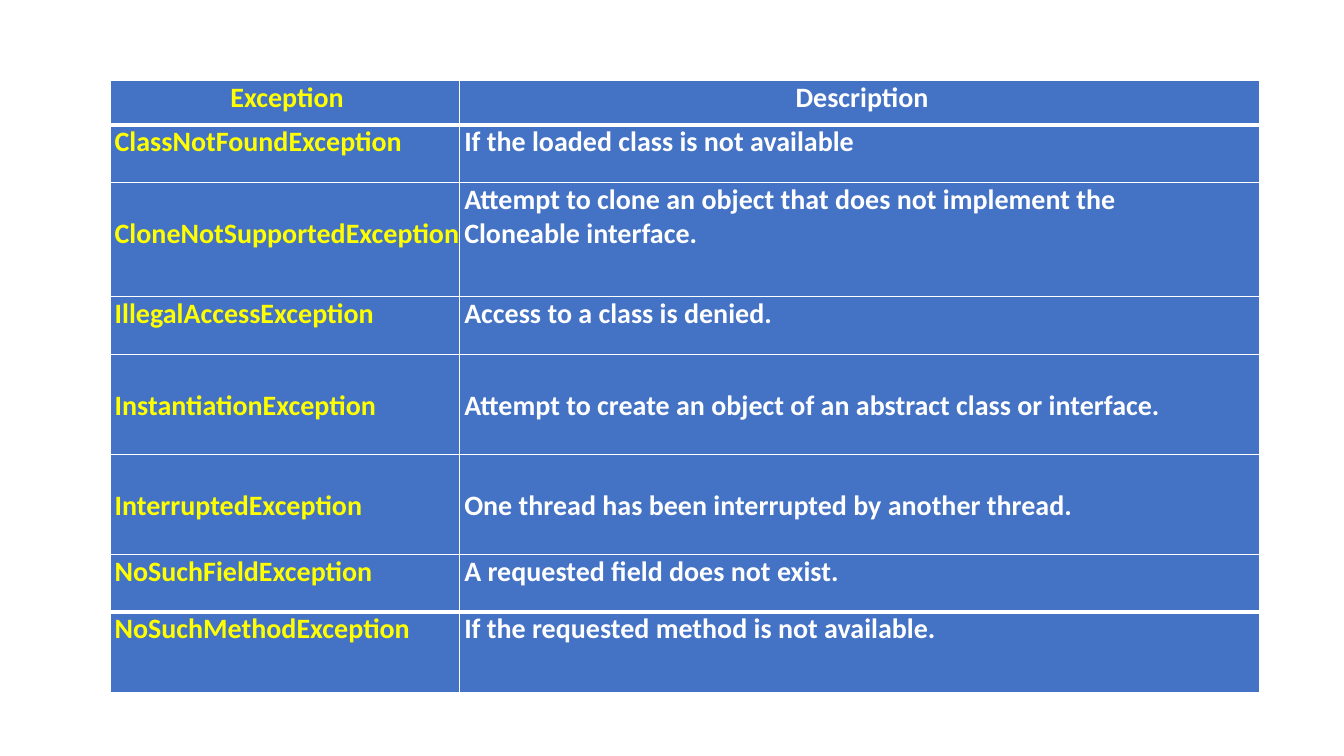
import pptx
import pptx.util
import pptx.dml.color
import pptx.enum.text
import pptx.oxml
import pptx.oxml.ns

Cm = pptx.util.Cm
Pt = pptx.util.Pt
Align = pptx.enum.text.PP_ALIGN

WHITE = "FFFFFF"
YELLOW = "FFFF00"
BLUE = "4472C4"
LINE_HEIGHT = 0.86
COLUMN_WIDTHS = [8.81, 20.17]
TEXT_COLOURS = [YELLOW, WHITE]

# height, (text, lines down) for each column
ROWS = [
    (1.12, ("Exception", 0), ("Description", 0)),
    (1.45, ("ClassNotFoundException", 0), ("If the loaded class is not available", 0)),
    (2.88, ("CloneNotSupportedException", 1),
     ("Attempt to clone an object that does not implement the Cloneable interface.", 0)),
    (1.45, ("IllegalAccessException", 0), ("Access to a class is denied.", 0)),
    (2.52, ("InstantiationException", 1),
     ("Attempt to create an object of an abstract class or interface.", 1)),
    (2.52, ("InterruptedException", 1),
     ("One thread has been interrupted by another thread.", 1)),
    (1.45, ("NoSuchFieldException", 0), ("A requested field does not exist.", 0)),
    (2.03, ("NoSuchMethodException", 0), ("If the requested method is not available.", 0)),
]


def colour(value):
    return pptx.dml.color.RGBColor.from_string(value)


def add_border(cell, side, width):
    cell._tc.get_or_add_tcPr().append(pptx.oxml.parse_xml(
        f'<a:{side} {pptx.oxml.ns.nsdecls("a")} w="{Pt(width)}">'
        f'<a:solidFill><a:srgbClr val="{WHITE}"/></a:solidFill></a:{side}>'))


deck = pptx.Presentation()
deck.slide_width = Cm(33.87)
deck.slide_height = Cm(19.05)
page = deck.slides.add_slide(deck.slide_layouts[6])

total_height = sum(row[0] for row in ROWS)
table = page.shapes.add_table(
    len(ROWS), len(COLUMN_WIDTHS),
    Cm(2.77), Cm(2.03), Cm(sum(COLUMN_WIDTHS)), Cm(total_height)).table
table.horz_banding = False
for column, width in zip(table.columns, COLUMN_WIDTHS):
    column.width = Cm(width)

last = len(ROWS) - 1
for row_index, (height, *entries) in enumerate(ROWS):
    table.rows[row_index].height = Cm(height)
    top_width = 3 if row_index in (1, last) else 1
    bottom_width = 3 if row_index in (0, last - 1) else 1
    for column_index, (text, lines_down) in enumerate(entries):
        cell = table.cell(row_index, column_index)
        for side, width in (("lnL", 1), ("lnR", 1), ("lnT", top_width), ("lnB", bottom_width)):
            add_border(cell, side, width)
        cell.fill.solid()
        cell.fill.fore_color.rgb = colour(BLUE)
        wraps_early = column_index == 1 and row_index > 0
        margins = {
            "margin_left": Cm(0.12),
            "margin_right": Cm(2 if wraps_early else 0),
            "margin_top": Cm(LINE_HEIGHT * lines_down),
            "margin_bottom": Cm(0),
        }
        for name, value in margins.items():
            setattr(cell, name, value)
        para = cell.text_frame.paragraphs[0]
        para.alignment = Align.CENTER if row_index == 0 else Align.LEFT
        span = para.add_run()
        span.text = text
        for name, value in {"name": "Calibri", "size": Pt(20), "bold": True}.items():
            setattr(span.font, name, value)
        span.font.color.rgb = colour(TEXT_COLOURS[column_index])

deck.save("out.pptx")
